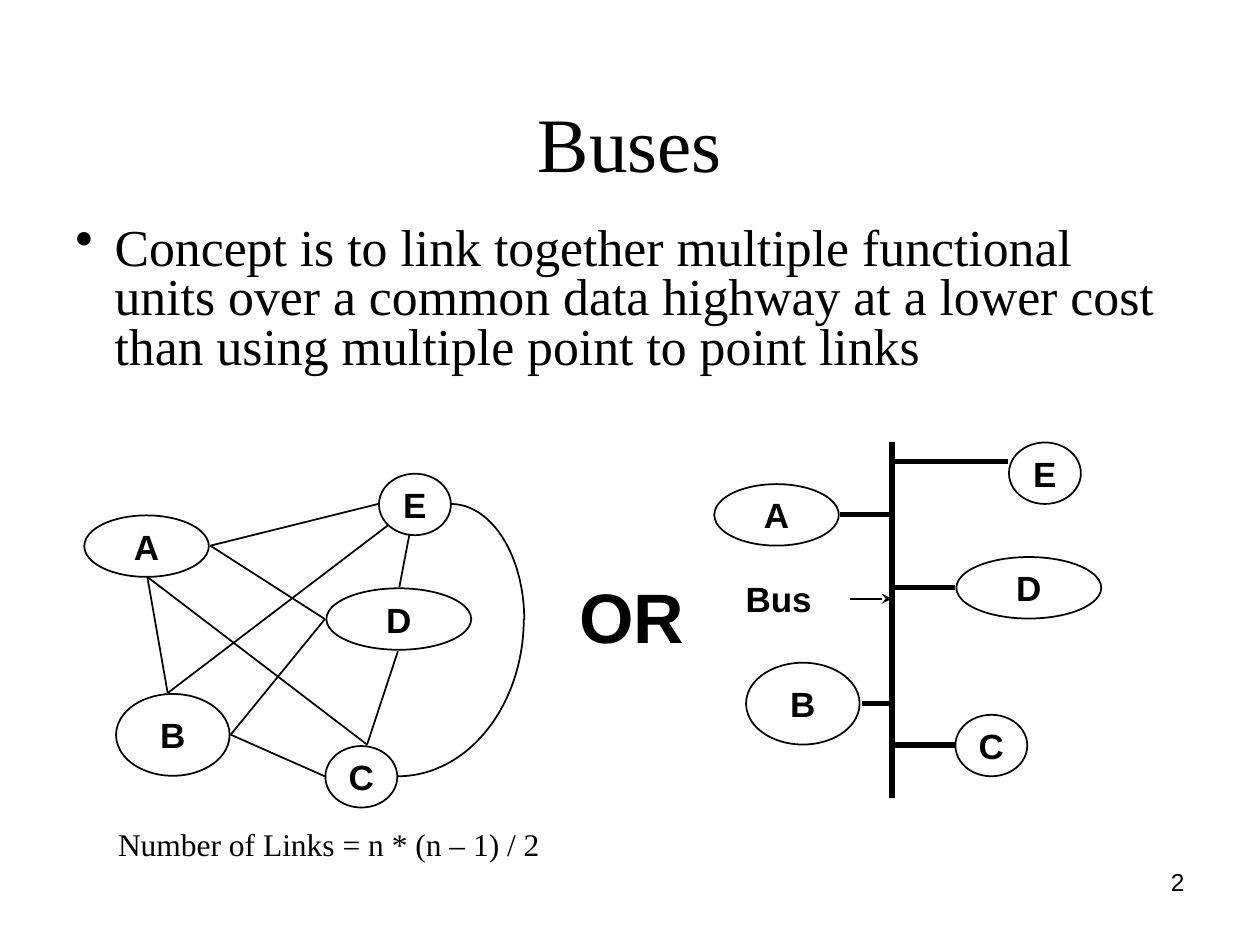
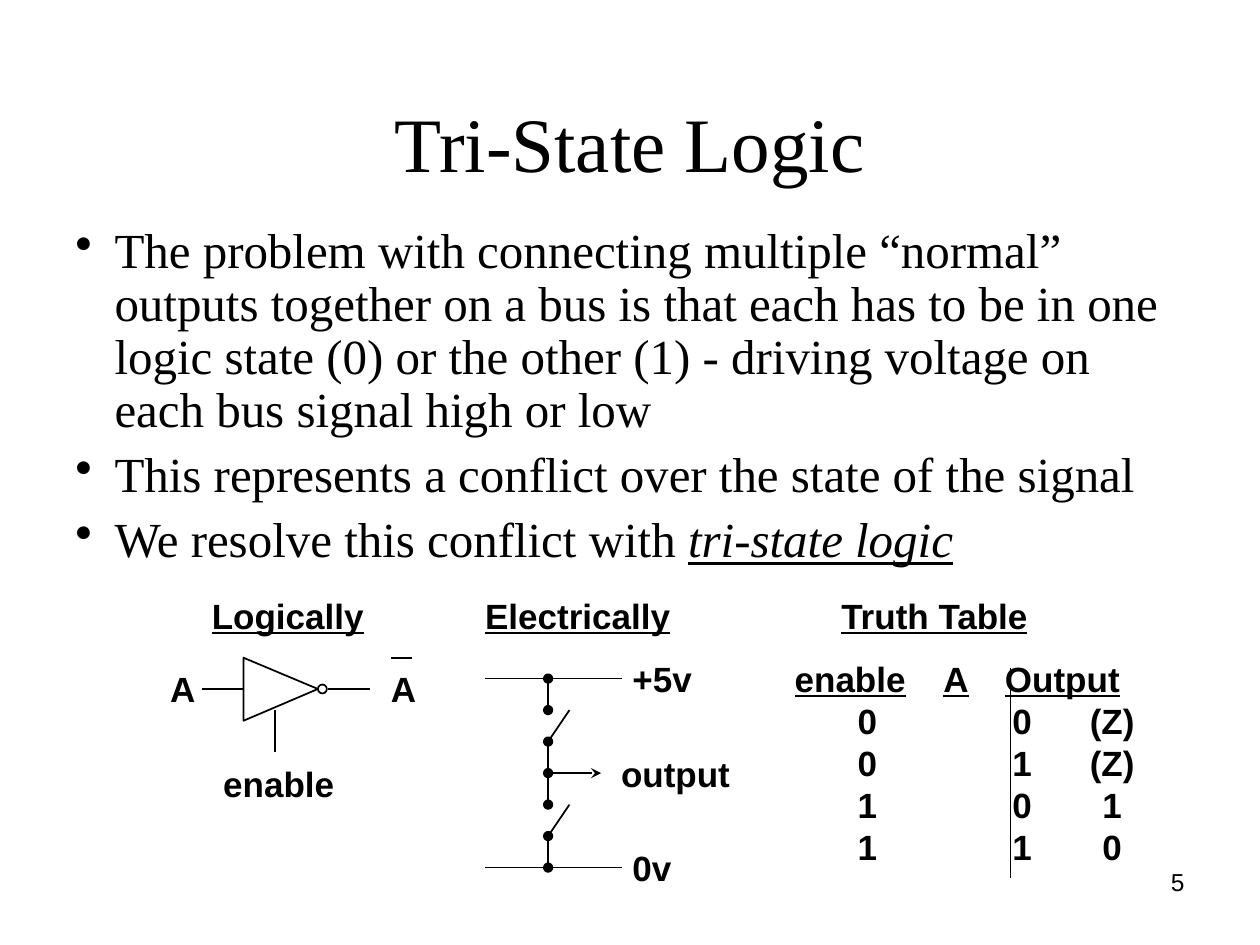
from pptx import Presentation
from pptx.dml.color import RGBColor
from pptx.enum.shapes import MSO_CONNECTOR, MSO_SHAPE
from pptx.enum.text import MSO_ANCHOR as Anchor, PP_ALIGN as Align
from pptx.oxml.ns import qn
from pptx.oxml.xmlchemy import OxmlElement
from pptx.util import Cm, Pt

COLORS = {"ink": "000000", "paper": "FFFFFF"}
SANS, SERIF = "Arial", "Times New Roman"
LABEL_HEIGHT = 1.09
SECTION_TOP = 11.86

UNITS = {
    "A": (0, 0.84, 2.51, 1.24),
    "B": (0.64, 4.44, 2.29, 1.65),
    "D": (4.88, 2.31, 2.92, 1.24),
    "E": (5.94, 0, 1.45, 1.24),
    "C": (4.86, 5.49, 1.45, 1.24),
}
PORTS = {
    "A right": (2.54, 1.45), "A bottom": (1.27, 2.08),
    "B top": (1.68, 4.42), "B right": (2.95, 5.26),
    "C top": (5.7, 5.46), "C left": (4.85, 6.1),
    "D left": (4.85, 2.93), "D top": (6.35, 2.29), "D bottom": (6.32, 3.58),
    "E left": (5.92, 0.61), "E corner": (6.12, 1.04), "E bottom": (6.55, 1.24),
}
LINKS = [
    ("A right", "D left"), ("A right", "E left"), ("E bottom", "D top"),
    ("A bottom", "B top"), ("D bottom", "C top"), ("B right", "C left"),
    ("A bottom", "C top"), ("D left", "B right"), ("E corner", "B top"),
]
BUS_STUBS = [(2.54, 1.45), (5.92, 0.38), (2.97, 5.26), (4.85, 6.1), (4.85, 2.92)]
HEADER_STOPS = [(3, "l"), (4.24, "l")]
VALUE_STOPS = [(1.27, "l"), (4.39, "l"), (6.4, "ctr")]
TRUTH_ROWS = [("0", "0", "(Z)"), ("0", "1", "(Z)"), ("1", "0", "1"), ("1", "1", "0")]


def color(name):
    """Return the named palette colour."""
    return RGBColor.from_string(COLORS[name])


def style_font(paragraph, size, name=SANS, bold=False, underline=None):
    """Set the paragraph's font in the ink colour."""
    font = paragraph.font
    font.size, font.name, font.bold, font.underline = Pt(size), name, bold, underline
    font.color.rgb = color("ink")


def add_text(slide, box, text, size, name=SANS, bold=False, underline=None,
             align=Align.LEFT, wrap=False):
    """Add a one-paragraph text box and return its frame."""
    frame = slide.shapes.add_textbox(*map(Cm, box)).text_frame
    frame.word_wrap = wrap
    paragraph = frame.paragraphs[0]
    paragraph.text, paragraph.alignment = text, align
    style_font(paragraph, size, name, bold, underline)
    return frame


def add_label(slide, left, top, width, text, underline=None):
    """Add a bold diagram label."""
    add_text(slide, (left, top, width, LABEL_HEIGHT), text, 20, bold=True, underline=underline)


def add_line(slide, start, end, weight=1, arrow=False):
    """Draw a straight line, with a stealth arrowhead at its end if asked."""
    line = slide.shapes.add_connector(MSO_CONNECTOR.STRAIGHT, *map(Cm, (*start, *end)))
    line.line.color.rgb, line.line.width = color("ink"), Pt(weight)
    properties = line.element.spPr
    if arrow:
        head = OxmlElement("a:tailEnd")
        head.set("type", "stealth")
        properties.find(qn("a:ln")).append(head)
    properties.append(OxmlElement("a:effectLst"))


def style_outline(shape, fill=None, weight=1):
    """Give a shape an ink outline, an optional fill and no shadow."""
    shape.shadow.inherit = False
    shape.line.color.rgb, shape.line.width = color("ink"), Pt(weight)
    if fill:
        shape.fill.solid()
        shape.fill.fore_color.rgb = color(fill)
    else:
        shape.fill.background()


def add_ellipse(slide, box, fill="paper", weight=1):
    """Add an outlined ellipse."""
    ellipse = slide.shapes.add_shape(MSO_SHAPE.OVAL, *map(Cm, box))
    style_outline(ellipse, fill, weight)
    return ellipse


def add_arc(slide, box, start=None, end=None):
    """Add a quarter arc of the ellipse in the box, top right by default."""
    arc = slide.shapes.add_shape(MSO_SHAPE.ARC, *map(Cm, box))
    style_outline(arc)
    if end is not None:
        arc.adjustments[0], arc.adjustments[1] = start, end


def add_title(slide, text):
    """Add the slide title."""
    frame = add_text(slide, (1.27, 0.76, 22.86, 3.18), text, 44, SERIF,
                     align=Align.CENTER, wrap=True)
    frame.vertical_anchor = Anchor.BOTTOM
    frame.paragraphs[0].line_spacing = 0.9


def add_number(slide, number):
    """Add the slide number."""
    add_text(slide, (18.21, 17.35, 5.92, 1.32), str(number), 14, align=Align.RIGHT, wrap=True)


def add_bullets(slide, box, items, size, spacing, before):
    """Add bulleted paragraphs, each a list of (text, emphasised) runs."""
    frame = slide.shapes.add_textbox(*map(Cm, box)).text_frame
    frame.word_wrap = True
    for index, runs in enumerate(items):
        paragraph = frame.add_paragraph() if index else frame.paragraphs[0]
        paragraph.line_spacing, paragraph.space_before = spacing, Pt(before)
        properties = paragraph._p.get_or_add_pPr()
        properties.set("marL", str(Cm(0.79)))
        properties.set("indent", str(-Cm(0.79)))
        bullet = OxmlElement("a:buChar")
        bullet.set("char", "•")
        properties.append(bullet)
        style_font(paragraph, size, SERIF)
        for text, emphasised in runs:
            run = paragraph.add_run()
            run.text = text
            if emphasised:
                run.font.italic = run.font.underline = True


def add_units(slide, left, top):
    """Place the five functional units."""
    for name, (x, y, width, height) in UNITS.items():
        frame = add_ellipse(slide, (left + x, top + y, width, height)).text_frame
        frame.word_wrap, frame.vertical_anchor = False, Anchor.MIDDLE
        paragraph = frame.paragraphs[0]
        paragraph.text, paragraph.alignment = name, Align.CENTER
        style_font(paragraph, 20, bold=True)


def add_bus(slide, left, top):
    """Draw the units joined by a common bus."""
    add_units(slide, left, top)
    bus = left + 3.58
    add_line(slide, (bus, top), (bus, top + 7.16), 3)
    for x, y in BUS_STUBS:
        add_line(slide, (left + x, top + y), (bus, top + y), 3)
    add_label(slide, left + 0.38, top + 2.59, 1.85, "Bus")
    add_line(slide, (left + 2.74, top + 3.15), (bus, top + 3.15), arrow=True)


def add_mesh(slide, left, top):
    """Draw the units joined by point to point links."""
    add_units(slide, left, top)
    for link in LINKS:
        start, end = ((left + PORTS[port][0], top + PORTS[port][1]) for port in link)
        add_line(slide, start, end)
    add_arc(slide, (left + 5.92, top + 0.61, 2.95, 4.67))
    add_arc(slide, (left + 3.78, top - 0.25, 5.08, 6.35), 0, 54)


def add_inverter(slide, left, top):
    """Draw the tri-state inverter symbol."""
    add_label(slide, left + 0.84, top, 3.58, "Logically", True)
    middle = top + 2.03
    back, tip = left + 1.73, left + 3.23
    builder = slide.shapes.build_freeform(Cm(back), Cm(top + 1.4))
    builder.add_line_segments([(Cm(tip), Cm(middle)), (Cm(back), Cm(top + 2.67))])
    style_outline(builder.convert_to_shape())
    add_ellipse(slide, (tip, middle - 0.09, 0.18, 0.18))
    add_line(slide, (left + 0.89, middle), (back, middle))
    add_line(slide, (left + 3.43, middle), (left + 4.27, middle))
    add_line(slide, (left + 2.36, top + 2.46), (left + 2.36, top + 3.3))
    for x in (0, 4.45):
        add_label(slide, left + x, top + 1.47, 1.02, "A")
    add_line(slide, (left + 4.7, top + 1.4), (left + 5.13, top + 1.4))
    add_label(slide, left + 1.07, top + 3.38, 2.74, "enable")


def add_switches(slide, left, top):
    """Draw the two switches between the supply rails."""
    add_label(slide, left, top, 4.24, "Electrically", True)
    x = left + 1.52
    nodes = [top + 1.82 + 0.635 * index for index in range(7)]
    for rail in (nodes[0], nodes[-1]):
        add_line(slide, (left + 0.25, rail), (left + 3, rail))
    for index, (upper, lower) in enumerate(zip(nodes, nodes[1:])):
        swing = 0.43 if index in (1, 4) else 0
        add_line(slide, (x + swing, upper), (x, lower))
    add_line(slide, (x, nodes[3]), (left + 2.59, nodes[3]), arrow=True)
    for y in nodes:
        add_ellipse(slide, (x - 0.05, y - 0.05, 0.1, 0.1), "ink", 3)
    add_label(slide, left + 2.97, top + 1.27, 1.7, "+5v")
    add_label(slide, left + 2.74, top + 3.18, 2.72, "output")
    add_label(slide, left + 2.97, top + 5.08, 1.3, "0v")


def set_tab_stops(paragraph, stops):
    """Give a paragraph its tab stops."""
    tabs = OxmlElement("a:tabLst")
    for position, align in stops:
        tab = OxmlElement("a:tab")
        tab.set("pos", str(Cm(position)))
        tab.set("algn", align)
        tabs.append(tab)
    paragraph._p.get_or_add_pPr().append(tabs)


def add_truth_table(slide, left, top):
    """Set the truth table on tab stops beside its divider."""
    add_label(slide, left + 0.94, top, 4.37, "Truth Table", True)
    frame = slide.shapes.add_textbox(*map(Cm, (left, top + 1.27, 7.77, 4.5))).text_frame
    frame.word_wrap = False
    header = frame.paragraphs[0]
    header.text = "\t".join(("enable", "A", "Output"))
    set_tab_stops(header, HEADER_STOPS)
    style_font(header, 20, bold=True, underline=True)
    for row in TRUTH_ROWS:
        paragraph = frame.add_paragraph()
        paragraph.text = "\t" + "\t".join(row)
        set_tab_stops(paragraph, VALUE_STOPS)
        style_font(paragraph, 20, bold=True)
    add_line(slide, (left + 4.6, top + 1.6), (left + 4.6, top + 5.84))


def start_slide(presentation, title, number):
    """Add a blank slide with its title and number."""
    slide = presentation.slides.add_slide(presentation.slide_layouts[6])
    add_number(slide, number)
    add_title(slide, title)
    return slide


def build_buses(presentation):
    """Build the slide comparing links with a bus."""
    slide = start_slide(presentation, "Buses", 2)
    concept = ("Concept is to link together multiple functional units over a common "
               "data highway at a lower cost than using multiple point to point links")
    add_bullets(slide, (1.27, 4.44, 22.86, 3.5), [[(concept, False)]], 29.6, 0.8, 8)
    add_bus(slide, 14.4, 8.92)
    add_mesh(slide, 1.7, 9.55)
    add_text(slide, (11.43, 11.43, 2.64, 1.96), "OR", 40, bold=True)
    add_text(slide, (2.13, 16.51, 9.02, 1.02), "Number of Links = n * (n – 1) / 2", 18, SERIF)


def build_tri_state(presentation):
    """Build the slide explaining tri-state logic."""
    slide = start_slide(presentation, "Tri-State Logic", 5)
    problem = ("The problem with connecting multiple “normal” outputs together on a bus "
               "is that each has to be in one logic state (0) or the other (1) - driving "
               "voltage on each bus signal high or low")
    add_bullets(slide, (1.27, 4.44, 22.6, 7.62), [
        [(problem, False)],
        [("This represents a conflict over the state of the signal", False)],
        [("We resolve this conflict with ", False), ("tri-state logic", True)],
    ], 28, 0.9, 7)
    add_inverter(slide, 3.18, SECTION_TOP)
    add_switches(slide, 9.53, SECTION_TOP)
    add_truth_table(slide, 15.77, SECTION_TOP)


def main():
    """Build and save the presentation."""
    presentation = Presentation()
    presentation.slide_width, presentation.slide_height = Cm(25.4), Cm(19.05)
    build_buses(presentation)
    build_tri_state(presentation)
    presentation.save("out.pptx")


if __name__ == "__main__":
    main()
